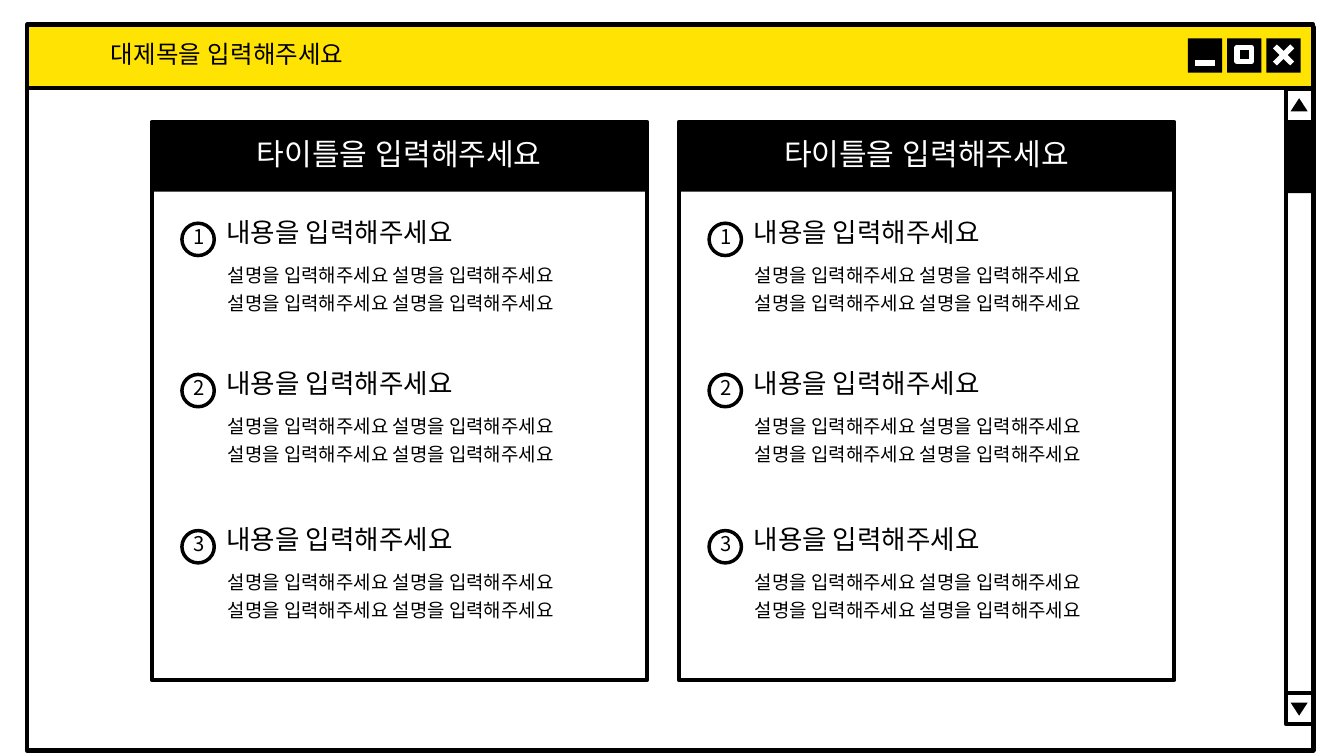
from lxml.etree import SubElement
from pptx import Presentation
from pptx.dml.color import RGBColor
from pptx.enum.shapes import MSO_CONNECTOR as Connector, MSO_SHAPE as Preset
from pptx.enum.text import MSO_ANCHOR as Anchor, PP_ALIGN as Align
from pptx.oxml.ns import qn
from pptx.util import Cm, Pt

BLACK, WHITE, YELLOW = "000000", "FFFFFF", "FFE302"
LATIN, KOREAN = "Arial", "Noto Sans CJK KR"
DESCRIPTION = "설명을 입력해주세요 설명을 입력해주세요"


def color(value):
    return RGBColor.from_string(value)


def write(frame, text, size=27, font=KOREAN, ink=BLACK, align=Align.LEFT,
          spacing=0.6, before=32):
    """Fill a text frame, one paragraph for each line of text."""
    frame.word_wrap = True
    frame.vertical_anchor = Anchor.MIDDLE
    frame.margin_left = frame.margin_right = Cm(0.15)
    frame.margin_top = frame.margin_bottom = Cm(0.15)
    for index, line in enumerate(text.split("\n")):
        paragraph = frame.add_paragraph() if index else frame.paragraphs[0]
        paragraph.alignment = align
        paragraph.line_spacing = spacing
        paragraph.space_before = Pt(before)
        run = paragraph.add_run()
        run.text = line
        run.font.size = Pt(size)
        run.font.color.rgb = color(ink)
        run.font.name = font
        SubElement(run.font._element, qn("a:ea"), typeface=font)


class Canvas:
    """Draws on a slide, inside its latest group; lengths are centimetres."""

    def __init__(self, slide, border=6):
        self.slide = slide
        self.border = border
        self.shapes = slide.shapes

    def start_group(self):
        self.shapes = self.slide.shapes.add_group_shape().shapes

    def end_group(self):
        self.shapes = self.slide.shapes

    def paint(self, shape, fill, line, width):
        shape.shadow.inherit = False
        if fill:
            shape.fill.solid()
            shape.fill.fore_color.rgb = color(fill)
        else:
            shape.fill.background()
        if line:
            shape.line.color.rgb = color(line)
            shape.line.width = Pt(width or self.border)
        else:
            shape.line.fill.background()

    def shape(self, left, top, width, height, fill=None, line=None,
              weight=None, preset=Preset.RECTANGLE):
        shape = self.shapes.add_shape(
            preset, Cm(left), Cm(top), Cm(width), Cm(height))
        self.paint(shape, fill, line, weight)

    def polygon(self, points, fill):
        start, *others = [(Cm(x), Cm(y)) for x, y in points]
        builder = self.shapes.build_freeform(*start)
        builder.add_line_segments(others, close=True)
        self.paint(builder.convert_to_shape(), fill, None, None)

    def line(self, x1, y1, x2, y2, ink=BLACK, weight=None):
        connector = self.shapes.add_connector(
            Connector.STRAIGHT, Cm(x1), Cm(y1), Cm(x2), Cm(y2))
        connector.line.color.rgb = color(ink)
        connector.line.width = Pt(weight or self.border)
        SubElement(connector._element.spPr, qn("a:effectLst"))

    def text(self, left, top, width, height, text, **style):
        box = self.shapes.add_textbox(
            Cm(left), Cm(top), Cm(width), Cm(height))
        write(box.text_frame, text, **style)


def draw_buttons(canvas):
    top, side = 1.93, 1.73
    minimize, maximize, close = [59.87 + 1.98 * i for i in range(3)]
    for left in (minimize, maximize, close):
        canvas.shape(left, top, side, side, fill=BLACK)
    white = {"ink": WHITE, "weight": 8}
    canvas.line(minimize + 0.35, top + 1.25, minimize + 1.37, top + 1.25, **white)
    canvas.shape(maximize + 0.51, top + 0.46, 0.71, 0.71,
                 fill=BLACK, line=WHITE, weight=8)
    left, right = close + 0.43, close + 1.3
    canvas.line(left, top + 1.27, right, top + 0.41, **white)
    canvas.line(right, top + 1.27, left, top + 0.41, **white)


def draw_window(canvas):
    canvas.start_group()
    canvas.shape(1.35, 1.35, 64.85, 36.47, line=BLACK)
    canvas.shape(1.37, 1.24, 64.82, 3.18, fill=YELLOW, line=BLACK)
    canvas.text(5.44, 1.98, 15.27, 1.85, "대제목을 입력해주세요",
                size=35, font=LATIN, spacing=0.7)
    canvas.shape(64.82, 4.47, 1.37, 32.03, line=BLACK)
    draw_buttons(canvas)
    canvas.line(64.85, 6.15, 66.22, 6.15)
    canvas.line(64.9, 34.93, 66.12, 34.93)
    for tip, base in ((4.95, 5.61), (36.07, 35.41)):
        canvas.polygon([(65.48, tip), (65.91, base), (65.05, base)], BLACK)
    canvas.end_group()
    canvas.shape(64.85, 6.2, 1.37, 3.53, fill=BLACK)


def draw_item(canvas, left, top, number):
    canvas.text(left + 3.61, top, 12.4, 2.18, "내용을 입력해주세요", size=38)
    canvas.text(left + 3.68, top + 2.29, 16.97, 3.25,
                f"{DESCRIPTION}\n{DESCRIPTION}", before=20)
    canvas.shape(left + 1.52, top + 0.43, 1.63, 1.63, fill=WHITE, line=BLACK,
                 weight=5, preset=Preset.OVAL)
    canvas.text(left + 1.83, top + 0.28, 1.07, 1.78, str(number),
                size=29, align=Align.CENTER, spacing=0.9)


def draw_panel(canvas, left):
    canvas.start_group()
    canvas.shape(left, 6.15, 24.97, 28.12, fill=WHITE, line=BLACK)
    canvas.shape(left, 6.15, 24.97, 3.51, fill=BLACK)
    canvas.text(left + 4.22, 7.09, 16.51, 1.7, "타이틀을 입력해주세요", size=43,
                font=LATIN, ink=WHITE, align=Align.CENTER, spacing=0.7)
    for number, top in enumerate((10.82, 18.44, 26.31), start=1):
        draw_item(canvas, left, top, number)
    canvas.end_group()


def main():
    presentation = Presentation()
    presentation.slide_width, presentation.slide_height = Cm(67.74), Cm(38.1)
    slide = presentation.slides.add_slide(presentation.slide_layouts[6])
    canvas = Canvas(slide)
    draw_window(canvas)
    for left in (7.65, 34.22):
        draw_panel(canvas, left)
    presentation.save("out.pptx")


if __name__ == "__main__":
    main()
